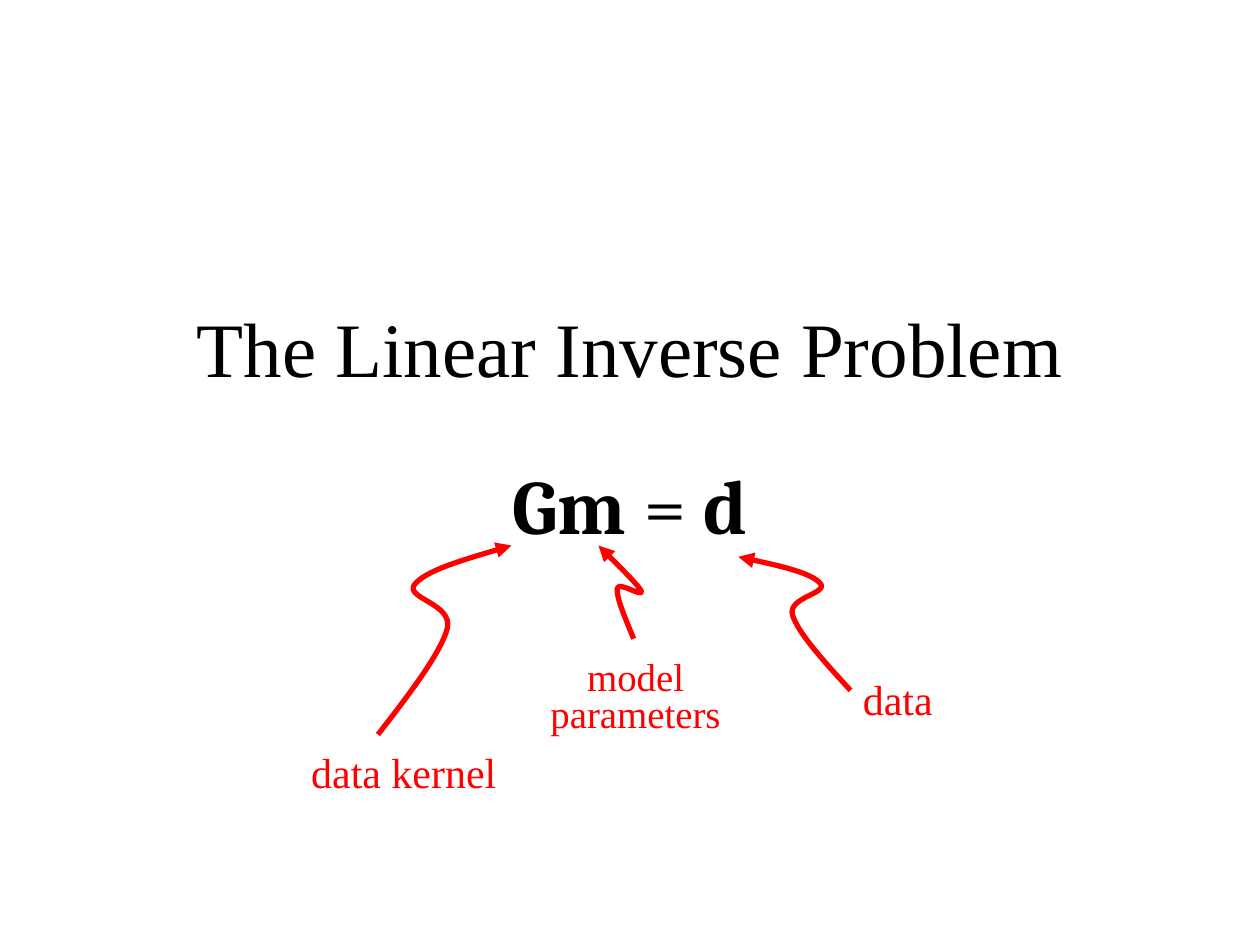
"""Builds a slide naming the parts of the linear inverse problem Gm = d."""
from dataclasses import dataclass

from lxml.etree import SubElement
from pptx import Presentation
from pptx.dml.color import RGBColor
from pptx.enum.text import MSO_ANCHOR, PP_ALIGN
from pptx.oxml.ns import qn
from pptx.util import Inches, Pt


@dataclass(frozen=True)
class Theme:
    ink: RGBColor = RGBColor(0, 0, 0)
    accent: RGBColor = RGBColor(255, 0, 0)
    heading: float = 44
    label: float = 24
    small_label: float = 22.2
    text_font: str = "Times New Roman"
    math_font: str = "Cambria"


theme = Theme()


def add_text(page, place, runs, size, font, color, anchor=MSO_ANCHOR.MIDDLE):
    box = page.shapes.add_textbox(*map(Inches, place))
    frame = box.text_frame
    frame.word_wrap = True
    frame.vertical_anchor = anchor
    para = frame.paragraphs[0]
    para.alignment = PP_ALIGN.CENTER
    for text, bold in runs:
        span = para.add_run()
        span.text = text
        span.font.name = font
        span.font.size = Pt(size)
        span.font.bold = bold
        span.font.color.rgb = color
    return para


def add_curved_arrow(page, points):
    start, *rest = [(Inches(x), Inches(y)) for x, y in points]
    builder = page.shapes.build_freeform(*start)
    builder.add_line_segments(rest, close=False)
    arrow = builder.convert_to_shape()
    arrow.shadow.inherit = False
    arrow.fill.background()
    arrow.line.color.rgb = theme.accent
    arrow.line.width = Pt(3)
    SubElement(arrow.line._get_or_add_ln(), qn("a:headEnd"), type="triangle")
    outline = next(arrow._element.iter(qn("a:path")))
    segments = outline.findall(qn("a:lnTo"))
    for first in range(0, len(segments), 3):
        curve = SubElement(outline, qn("a:cubicBezTo"))
        for segment in segments[first:first + 3]:
            curve.append(segment[0])
            outline.remove(segment)


deck = Presentation()
deck.slide_width = Inches(10)
deck.slide_height = Inches(7.5)
page = deck.slides.add_slide(deck.slide_layouts[6])

add_text(page, (0.5, 2.13, 9, 1.25), [("The Linear Inverse Problem", False)],
         theme.heading, theme.text_font, theme.ink)
equation = add_text(page, (0.5, 3.58, 9, 0.83),
                    [("Gm", True), (" = ", False), ("d", True)],
                    theme.heading, theme.math_font, theme.ink, MSO_ANCHOR.TOP)
equation.space_before = Pt(4)

labels = [
    ("data", 6.25, 5.17, theme.label, 1),
    ("model parameters", 4.17, 5.17, theme.small_label, 0.8),
    ("data kernel", 2.33, 5.75, theme.label, 1),
]
for text, left, top, size, spacing in labels:
    label = add_text(page, (left, top, 1.75, 0.75), [(text, False)],
                     size, theme.text_font, theme.accent)
    label.line_spacing = spacing

data_curve = [(5.86, 4.42), (6.15, 4.48), (6.44, 4.55), (6.51, 4.63), (6.58, 4.71),
              (6.25, 4.74), (6.29, 4.88), (6.33, 5.02), (6.54, 5.25), (6.75, 5.48)]
model_curve = [(4.75, 4.33), (4.91, 4.49), (5.06, 4.64), (5.09, 4.69), (5.11, 4.75),
               (4.91, 4.61), (4.9, 4.67), (4.89, 4.74), (4.96, 4.9), (5.03, 5.07)]
kernel_curve = [(4.06, 4.33), (3.72, 4.43), (3.38, 4.53), (3.29, 4.64), (3.21, 4.75),
                (3.6, 4.79), (3.55, 4.99), (3.5, 5.18), (3.25, 5.51), (3, 5.83)]
for curve_points in (data_curve, model_curve, kernel_curve):
    add_curved_arrow(page, curve_points)

deck.save("out.pptx")
